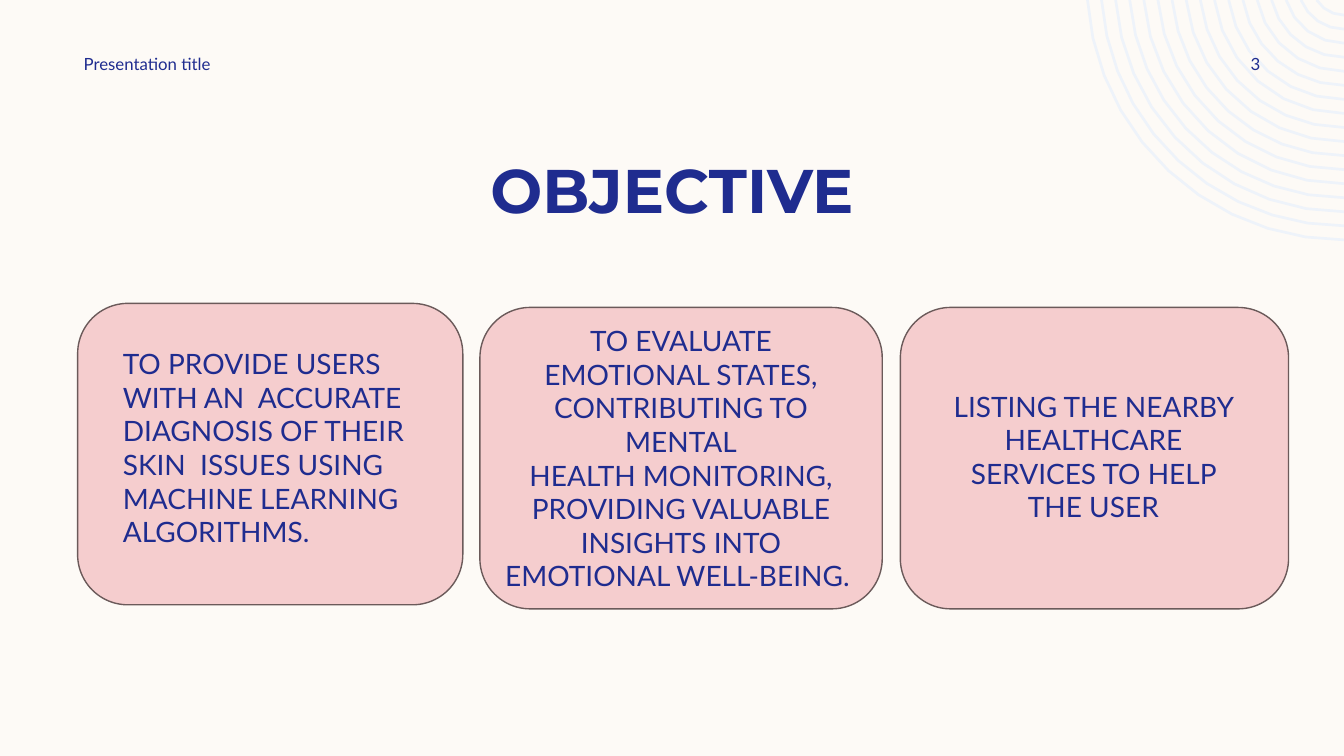
from math import asin, cos, pi, sin

from pptx import Presentation
from pptx.dml.color import RGBColor
from pptx.enum.shapes import MSO_SHAPE
from pptx.enum.text import MSO_ANCHOR, MSO_AUTO_SIZE, PP_ALIGN
from pptx.util import Inches, Pt

ROUNDED = MSO_SHAPE.ROUNDED_RECTANGLE
TOP, MIDDLE, BOTTOM = MSO_ANCHOR.TOP, MSO_ANCHOR.MIDDLE, MSO_ANCHOR.BOTTOM
LEFT, CENTER, RIGHT = PP_ALIGN.LEFT, PP_ALIGN.CENTER, PP_ALIGN.RIGHT
NO_FIT = MSO_AUTO_SIZE.NONE

NAVY, PINK, BROWN, CREAM, PALE = "1F2C8F", "F5CDCE", "6B5A5A", "FDFAF6", "EEF3FA"
WIDTH, HEIGHT = 13.33, 7.5
TITLE = {"name": "Montserrat", "size": Pt(44), "bold": True}
BODY = {"name": "Lato", "size": Pt(20)}
SMALL = {"name": "Lato", "size": Pt(12)}

PROVIDE = ("TO PROVIDE USERS WITH AN  ACCURATE DIAGNOSIS OF THEIR SKIN  "
           "ISSUES USING MACHINE LEARNING ALGORITHMS.")
EVALUATE = ("TO EVALUATE EMOTIONAL STATES, CONTRIBUTING TO MENTAL",
            "HEALTH MONITORING, PROVIDING VALUABLE INSIGHTS INTO "
            "EMOTIONAL WELL-BEING. ")
LISTING = "LISTING THE NEARBY HEALTHCARE SERVICES TO HELP THE USER"


def rgb(color):
    return RGBColor.from_string(color)


def fill(sp, color):
    sp.fill.solid()
    sp.fill.fore_color.rgb = rgb(color)


def outline(sp, color, width):
    sp.shadow.inherit = False
    sp.line.color.rgb = rgb(color)
    sp.line.width = Pt(width)


def write(sp, lines, font, align=LEFT, anchor=TOP, **margins):
    tf = sp.text_frame
    frame = {"word_wrap": True, "auto_size": NO_FIT, "vertical_anchor": anchor}
    for name, value in {**frame, **margins}.items():
        setattr(tf, name, value)
    for i, line in enumerate(lines):
        p = tf.add_paragraph() if i else tf.paragraphs[0]
        p.alignment = align
        r = p.add_run()
        r.text = line
        for name, value in font.items():
            setattr(r.font, name, value)
        r.font.color.rgb = rgb(NAVY)


def add_text(s, box, text, font, **layout):
    sp = s.shapes.add_textbox(*map(Inches, box))
    write(sp, [text], font, **layout)


def add_card(s, *box):
    sp = s.shapes.add_shape(ROUNDED, *map(Inches, box))
    fill(sp, PINK)
    outline(sp, BROWN, 1)
    return sp


def arc(radius, rise):
    """Points of a circle, centred above the top right corner, within the slide."""
    start = asin(rise / radius)
    steps = 3 + int(3 * radius)
    angles = [start + (pi / 2 - start) * i / steps for i in range(steps + 1)]
    return [(Inches(WIDTH - radius * cos(a)), Inches(radius * sin(a) - rise))
            for a in angles]


def add_rings(s, count=17, inner=0.32, outer=2.55, rise=0.17):
    step = (outer - inner) / (count - 1)
    first, *others = [arc(inner + i * step, rise) for i in range(count)]
    builder = s.shapes.build_freeform(*first[0])
    builder.add_line_segments(first[1:], close=False)
    for points in others:
        builder.move_to(*points[0])
        builder.add_line_segments(points[1:], close=False)
    sp = builder.convert_to_shape()
    sp.fill.background()
    outline(sp, PALE, 1.9)


def add_title(s, box, text):
    sp = s.shapes.title
    for name, value in zip(("left", "top", "width", "height"), box):
        setattr(sp, name, Inches(value))
    write(sp, [text], TITLE, CENTER, BOTTOM)


def main():
    prs = Presentation()
    prs.slide_width, prs.slide_height = Inches(WIDTH), Inches(HEIGHT)
    s = prs.slides.add_slide(prs.slide_layouts[5])
    fill(s.background, CREAM)

    add_rings(s)
    add_card(s, 8.93, 3.05, 3.85, 2.99)
    evaluate = add_card(s, 4.76, 3.05, 3.99, 2.99)
    write(evaluate, EVALUATE, BODY, CENTER, MIDDLE)
    add_card(s, 0.77, 3.01, 3.82, 2.99)

    add_title(s, (0.83, 0.8, 11.67, 1.49), "OBJECTIVE")
    add_text(s, (0.83, 0.5, 3.5, 0.27), "Presentation title", SMALL,
             anchor=MIDDLE, margin_left=0, margin_right=0)
    add_text(s, (11.42, 0.5, 1.08, 0.27), "3", SMALL,
             align=RIGHT, anchor=MIDDLE, margin_right=0)
    add_text(s, (1.12, 3.39, 3.21, 2.46), PROVIDE, BODY)
    add_text(s, (9.24, 3.81, 3.21, 1.78), LISTING, BODY, align=CENTER)
    prs.save("out.pptx")


if __name__ == "__main__":
    main()
